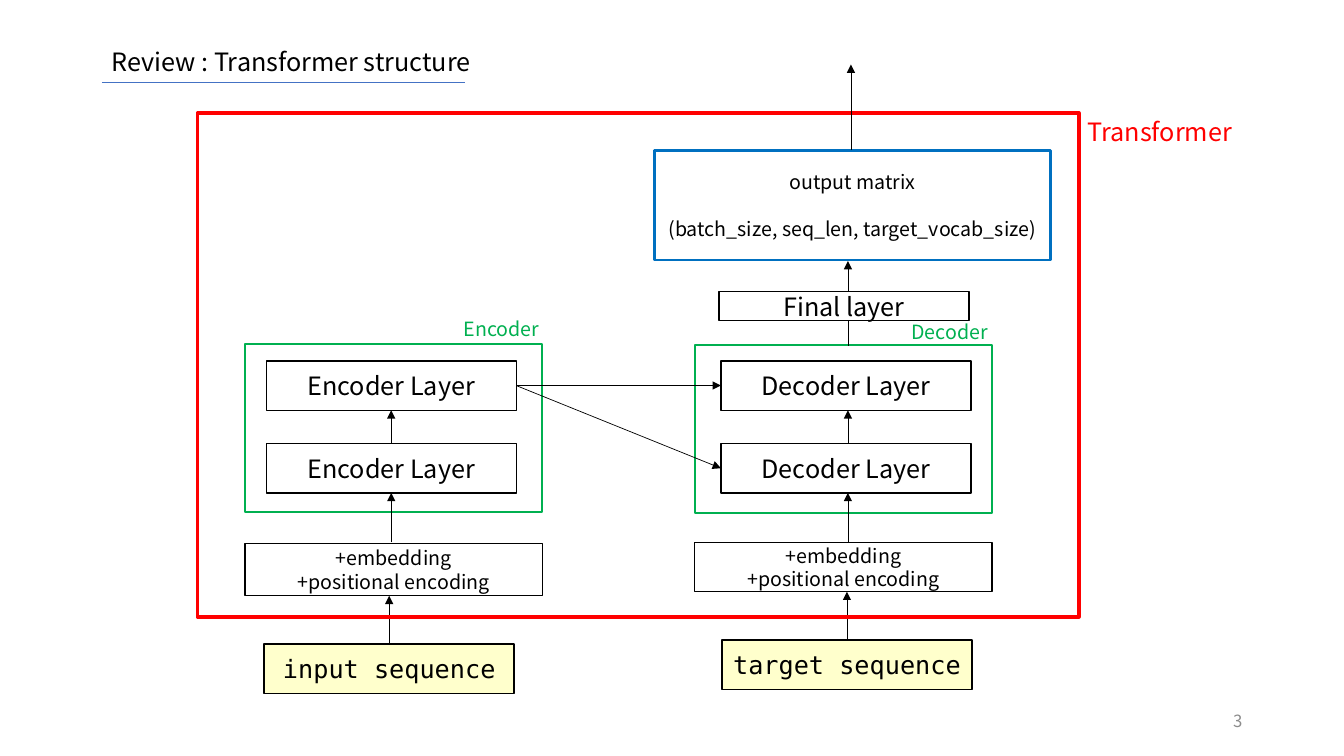
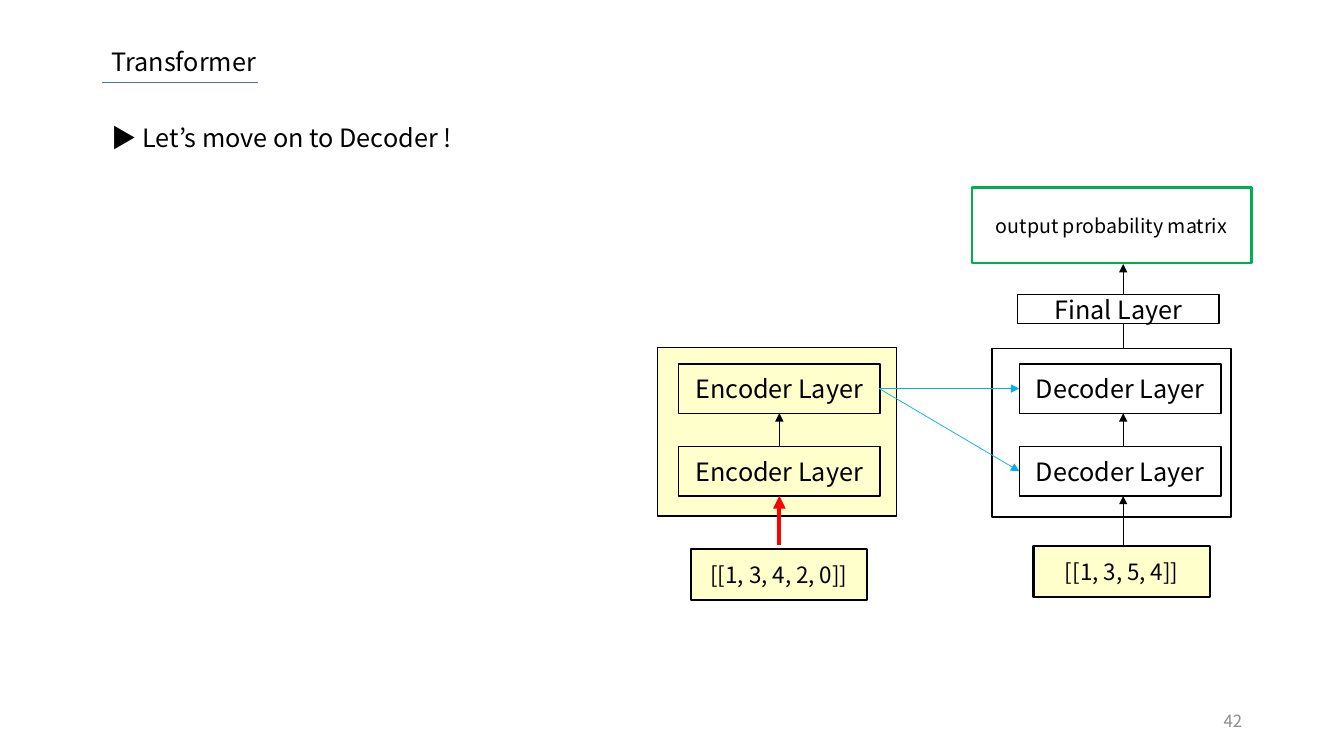
from lxml import etree
from pptx import Presentation
from pptx.dml.color import RGBColor
from pptx.enum.shapes import MSO_CONNECTOR, MSO_SHAPE
from pptx.enum.text import MSO_ANCHOR as Anchor, PP_ALIGN as Align
from pptx.oxml.ns import qn
from pptx.util import Inches, Pt

SANS, MONO = "Noto Sans CJK KR", "DejaVu Sans Mono"
BLACK, WHITE, GREY = "000000", "FFFFFF", "8C8C8C"
RED, GREEN, BLUE = "FF0000", "00B050", "0070C0"
SKY, RULE, CREAM = "00B0F0", "4472C4", "FFFFCC"

LAYER_HEIGHT = 0.49
LAYER_PITCH = 0.82


def color(value):
    return RGBColor.from_string(value)


def write(frame, text, size=18, font=SANS, ink=BLACK, align=Align.LEFT,
          anchor=Anchor.TOP, gap=0):
    """Fill a text frame, one paragraph per line of text."""
    frame.word_wrap = True
    frame.vertical_anchor = anchor
    for index, line in enumerate(text.split("\n")):
        para = frame.add_paragraph() if index else frame.paragraphs[0]
        para.alignment = align
        para.line_spacing = Pt(size * 1.2)
        para.space_before = Pt(gap if index else 0)
        span = para.add_run()
        span.text = line
        span.font.name = font
        span.font.size = Pt(size)
        span.font.color.rgb = color(ink)
        east_asian = etree.SubElement(span.font._element, qn("a:ea"))
        east_asian.set("typeface", font)


def label(page, box, text, **style):
    shape = page.shapes.add_textbox(*map(Inches, box))
    write(shape.text_frame, text, **style)


def block(page, box, text="", fill=None, line=BLACK, weight=1, **style):
    shape = page.shapes.add_shape(MSO_SHAPE.RECTANGLE, *map(Inches, box))
    shape.shadow.inherit = False
    if fill:
        shape.fill.solid()
        shape.fill.fore_color.rgb = color(fill)
    else:
        shape.fill.background()
    shape.line.color.rgb = color(line)
    shape.line.width = Pt(weight)
    if text:
        write(shape.text_frame, text, align=Align.CENTER,
              anchor=Anchor.MIDDLE, **style)


def connect(page, start, end, ink=BLACK, weight=0.5, arrow=True):
    line = page.shapes.add_connector(
        MSO_CONNECTOR.STRAIGHT, *map(Inches, (*start, *end)))
    line.line.color.rgb = color(ink)
    line.line.width = Pt(weight)
    if arrow:
        head = etree.SubElement(line.line._get_or_add_ln(), qn("a:tailEnd"))
        head.set("type", "triangle")
    etree.SubElement(line._element.spPr, qn("a:effectLst"))


def rise(page, x, bottom, top, **style):
    """Draw an upward arrow."""
    connect(page, (x, bottom), (x, top), **style)


def new_page(deck, title, rule_end, number):
    """Add a page with the shared title, rule and page number."""
    page = deck.slides.add_slide(deck.slide_layouts[6])
    label(page, (9.42, 6.95, 3, 0.4), number, size=12, ink=GREY,
          align=Align.RIGHT, anchor=Anchor.MIDDLE)
    label(page, (1.01, 0.41, 4.56, 0.4), title)
    connect(page, (1.01, 0.82), (rule_end, 0.82), ink=RULE, arrow=False)
    return page


def layer_stack(page, box, name, layer_left, layer_width, row, axis,
                fill=WHITE, frame=None, final=None, feed=None):
    """Draw two layers in a frame, their feed and an optional final layer.

    row is the top of the upper layer, axis the x of the upward arrows.
    """
    block(page, box, **(frame or {}))
    lower = row + LAYER_PITCH
    for top in (row, lower):
        block(page, (layer_left, top, layer_width, LAYER_HEIGHT), name,
              fill=fill)
    rise(page, axis, lower, row + LAYER_HEIGHT)
    rise(page, axis, row + 1.8, lower + LAYER_HEIGHT, **(feed or {}))
    if final:
        rise(page, axis, row - 0.15, row - 0.99)
        block(page, (layer_left - 0.02, row - 0.69, layer_width, 0.29),
              final, fill=WHITE)


def cross_links(page, left, right, row, **style):
    """Link the last encoder layer to both decoder layers."""
    middle = row + LAYER_HEIGHT / 2
    for drop in (0, LAYER_PITCH):
        connect(page, (left, middle), (right, middle + drop), **style)


def input_column(page, box, source, source_top, axis):
    """Draw an embedding block and the sequence that enters it."""
    left, top, _, height = box
    rise(page, axis, source_top, top + height)
    block(page, box, "+embedding\n+positional encoding", fill=WHITE, size=14)
    block(page, (axis - 1.24, source_top, 2.48, LAYER_HEIGHT), source,
          fill=CREAM, font=MONO)


def structure_page(deck):
    page = new_page(deck, "Review : Transformer structure", 4.61, "3")
    row, green = 3.58, {"line": GREEN, "weight": 1.5}

    # Encoder and decoder
    layer_stack(page, (2.43, 3.41, 2.95, 1.67), "Encoder Layer",
                2.64, 2.48, row, 3.88, frame=green)
    layer_stack(page, (6.89, 3.42, 2.95, 1.67), "Decoder Layer",
                7.15, 2.48, row, 8.41, frame=green, final="Final layer")
    cross_links(page, 5.12, 7.15, row)
    label(page, (4.5, 3.09, 2.11, 0.34), "Encoder", size=14, ink=GREEN)
    label(page, (8.94, 3.12, 2.11, 0.34), "Decoder", size=14, ink=GREEN)

    # Inputs
    input_column(page, (2.43, 5.39, 2.95, 0.52), "input sequence", 6.39, 3.86)
    input_column(page, (6.89, 5.38, 2.95, 0.49), "target sequence", 6.35, 8.4)

    # Output and outer frame
    block(page, (6.49, 1.49, 3.93, 1.09),
          "output matrix\n(batch_size, seq_len, target_vocab_size)",
          line=BLUE, weight=2, size=14, gap=17)
    block(page, (1.96, 1.12, 8.74, 5), line=RED, weight=2.5)
    label(page, (10.69, 1.11, 2.11, 0.4), "Transformer", ink=RED)
    rise(page, 8.44, 1.49, 0.64)


def decoder_page(deck):
    page = new_page(deck, "Transformer", 2.56, "42")
    label(page, (1.01, 1.16, 8.5, 0.4), "▶ Let’s move on to Decoder !")
    row = 3.61

    # Encoder and decoder
    layer_stack(page, (6.52, 3.45, 2.37, 1.67), "Encoder Layer",
                6.73, 2, row, 7.73, fill=CREAM, frame={"fill": CREAM},
                feed={"ink": RED, "weight": 3})
    layer_stack(page, (9.84, 3.46, 2.37, 1.67), "Decoder Layer",
                10.11, 2, row, 11.14, final="Final Layer")
    cross_links(page, 8.72, 10.11, row, ink=SKY)

    # Output and inputs
    block(page, (9.64, 1.86, 2.77, 0.75), "output probability matrix",
          line=GREEN, weight=2, size=14)
    for left, top, values in ((6.85, 5.45, "[[1, 3, 4, 2, 0]]"),
                              (10.25, 5.42, "[[1, 3, 5, 4]]")):
        block(page, (left, top, 1.75, 0.5), values, fill=CREAM, weight=1.5,
              size=16)


def main():
    deck = Presentation()
    deck.slide_width, deck.slide_height = Inches(13.33), Inches(7.5)
    structure_page(deck)
    decoder_page(deck)
    deck.save("out.pptx")


if __name__ == "__main__":
    main()
